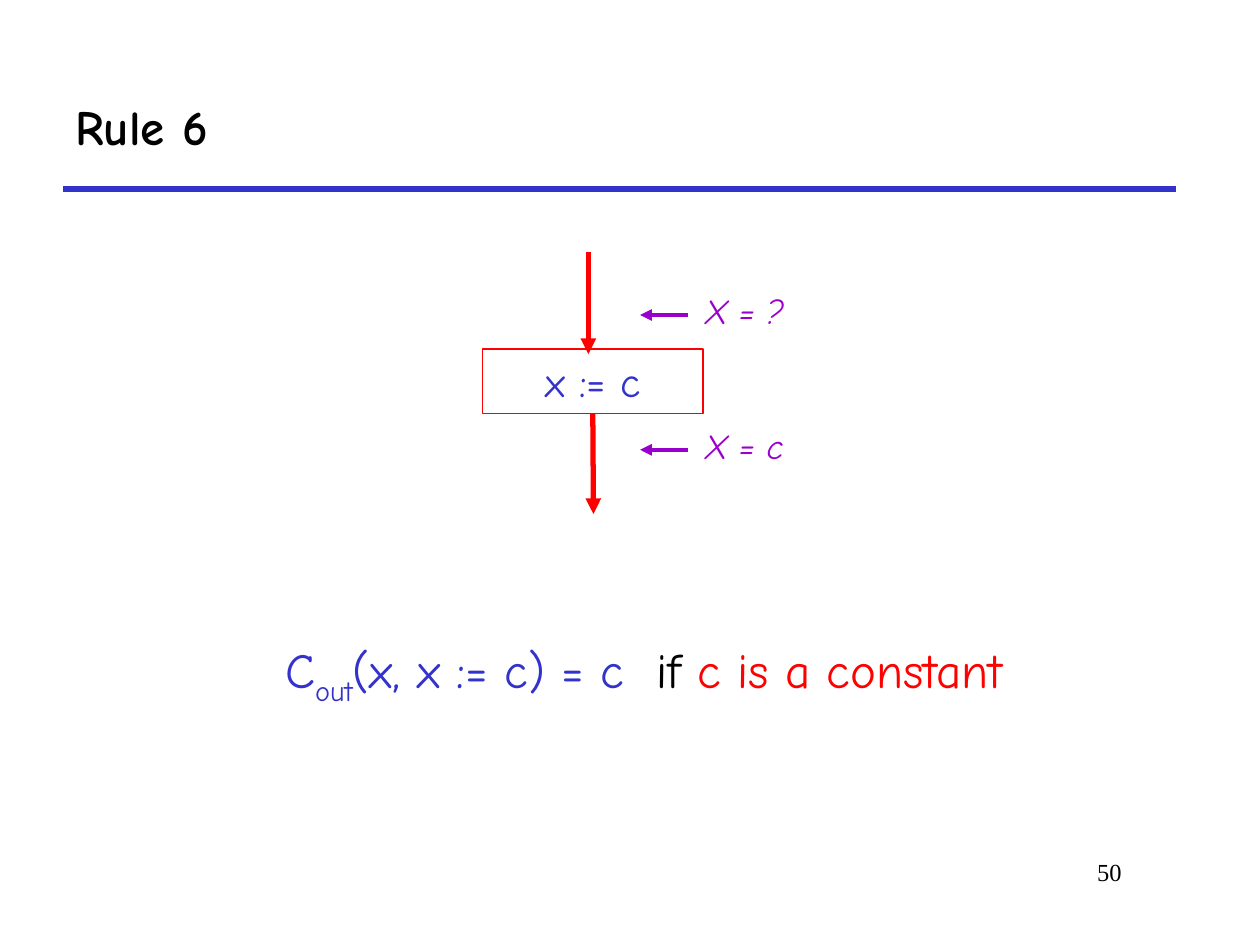
from lxml.etree import SubElement
from pptx import Presentation
from pptx.dml.color import RGBColor
from pptx.enum.shapes import MSO_CONNECTOR, MSO_SHAPE
from pptx.enum.text import MSO_ANCHOR, PP_ALIGN
from pptx.oxml.ns import qn
from pptx.util import Inches, Pt

BLACK, BLUE, RED, PURPLE = "000000", "3333CC", "FF0000", "9900CC"
FONT = "Comic Neue"
TITLE = "Rule 6"
STATEMENT = "x := c"
NUMBER = "50"
FACTS = [("X = ?", 2.25), ("X = c", 3.32)]
RULE = [
    ("C", BLUE, 0),
    ("out", BLUE, -25000),
    ("(x, x := c) = c ", BLUE, 0),
    (" if ", BLACK, 0),
    ("c is a constant", RED, 0),
]


def rgb(value):
    """Turn a hex string into a colour."""
    return RGBColor.from_string(value)


def style(r, size, color, name=FONT, bold=False, italic=False):
    """Format one run."""
    f = r.font
    f.size, f.name, f.bold, f.italic = Pt(size), name, bold, italic
    f.color.rgb = rgb(color)


def add_text(s, box, text, size, color, align=PP_ALIGN.LEFT, anchor=MSO_ANCHOR.TOP, **look):
    """Add a text box holding one line."""
    tf = s.shapes.add_textbox(*map(Inches, box)).text_frame
    tf.word_wrap = True
    tf.vertical_anchor = anchor
    p = tf.paragraphs[0]
    p.text, p.alignment = text, align
    for r in p.runs:
        style(r, size, color, **look)
    return p


def add_line(s, start, end, color, width, arrow=True):
    """Add a straight line, by default with an arrowhead at its end."""
    ln = s.shapes.add_connector(MSO_CONNECTOR.STRAIGHT, *map(Inches, start + end))
    ln.line.color.rgb = rgb(color)
    ln.line.width = Pt(width)
    if arrow:
        SubElement(ln.line._get_or_add_ln(), qn("a:tailEnd"), type="triangle")
    SubElement(ln._element.spPr, qn("a:effectLst"))
    return ln


def add_statement(s):
    """Add the assignment box."""
    sp = s.shapes.add_shape(MSO_SHAPE.RECTANGLE, *map(Inches, (3.83, 2.77, 1.75, 0.51)))
    sp.shadow.inherit = False
    sp.fill.background()
    sp.line.color.rgb = rgb(RED)
    sp.line.width = Pt(0.75)
    tf = sp.text_frame
    tf.text = STATEMENT
    tf.vertical_anchor = MSO_ANCHOR.TOP
    p = tf.paragraphs[0]
    p.alignment = PP_ALIGN.CENTER
    style(p.runs[0], 24, BLUE)
    return sp


def add_rule(s):
    """Add the formula with its subscript and coloured parts."""
    p = add_text(s, (0.57, 5.03, 9.08, 0.6), "", 28, BLUE, PP_ALIGN.CENTER)
    for text, color, baseline in RULE:
        r = p.add_run()
        r.text = text
        style(r, 28, color)
        if baseline:
            r.font._element.set("baseline", str(baseline))


def main():
    """Build the slide."""
    prs = Presentation()
    prs.slide_width, prs.slide_height = Inches(10), Inches(7.5)
    s = prs.slides.add_slide(prs.slide_layouts[6])
    add_line(s, (0.5, 1.5), (9.33, 1.5), BLUE, 3, arrow=False)
    add_text(s, (6.92, 6.75, 2.08, 0.5), NUMBER, 14, BLACK, PP_ALIGN.RIGHT, name="Times New Roman")
    add_text(s, (0.5, 0.5, 8.83, 1), TITLE, 28, BLACK, anchor=MSO_ANCHOR.MIDDLE, bold=True)
    add_rule(s)
    sp = add_statement(s)
    add_line(s, (4.71, 3.28), (4.71, 4.08), RED, 3).begin_connect(sp, 2)
    add_line(s, (4.67, 2), (4.67, 2.81), RED, 3)
    for text, top in FACTS:
        add_text(s, (5.5, top, 1.33, 0.43), text, 20, PURPLE, italic=True)
        add_line(s, (5.46, top + 0.25), (5.08, top + 0.25), PURPLE, 2.25)
    prs.save("out.pptx")


if __name__ == "__main__":
    main()
